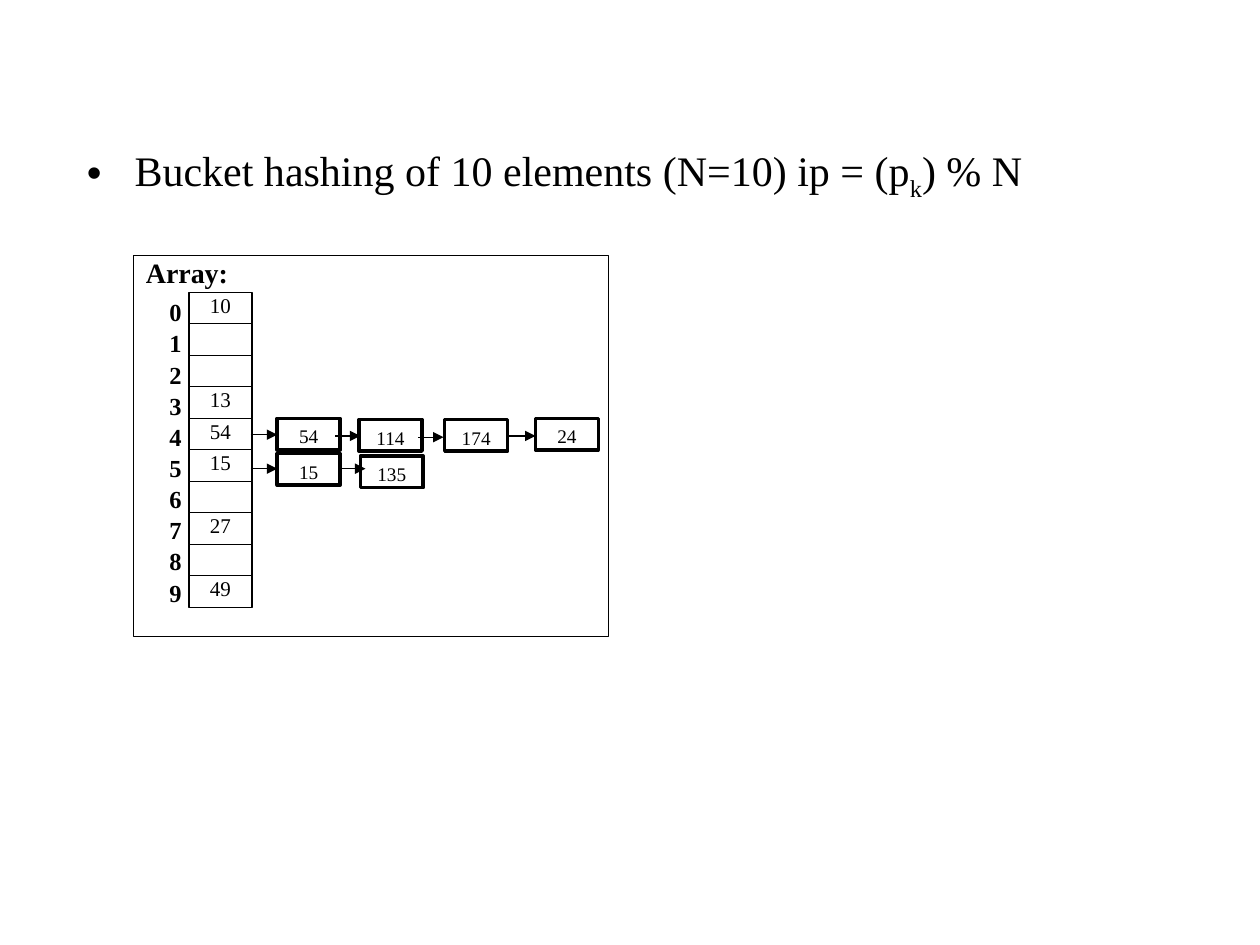
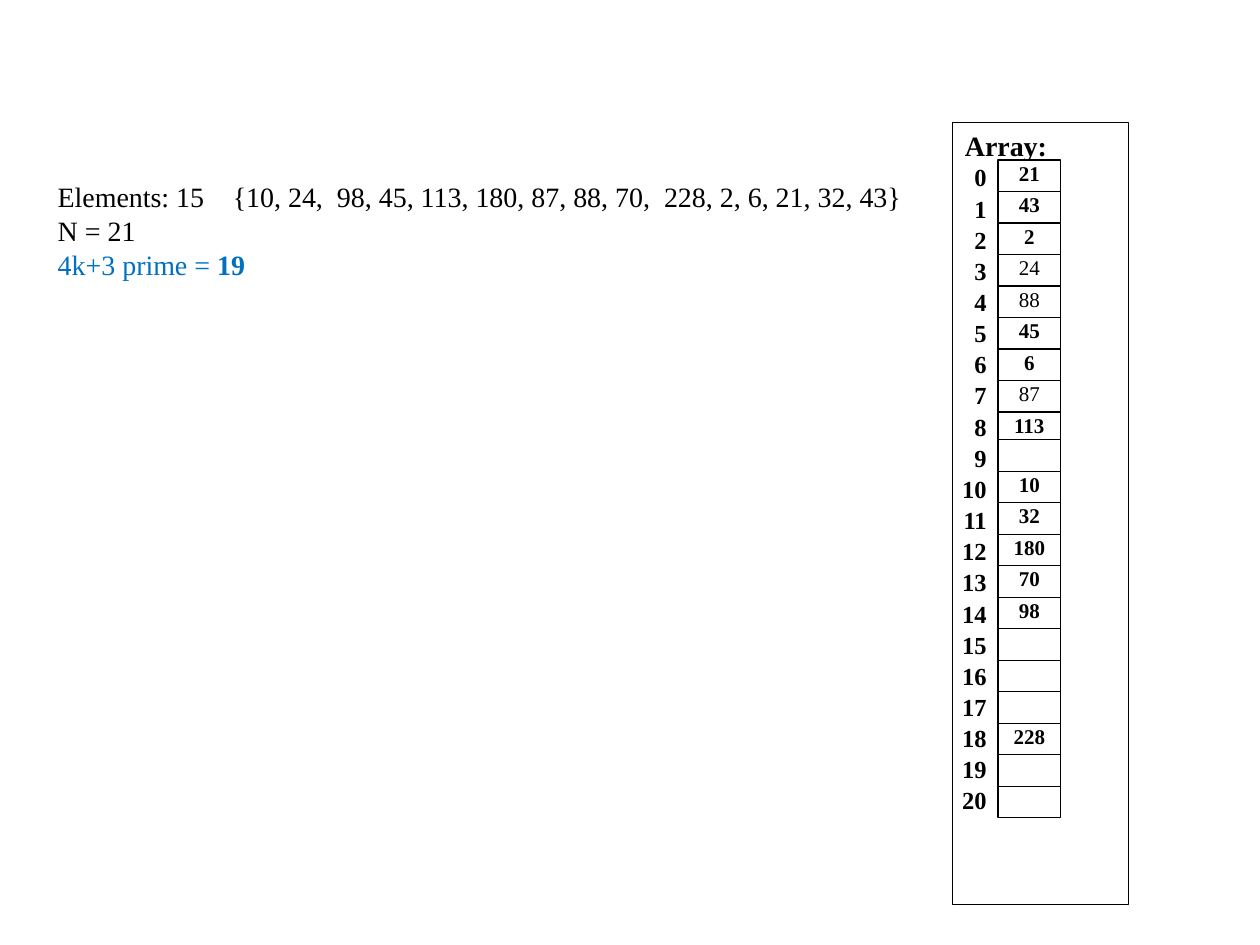
"""Build two slides that show hash tables: bucket chaining and a 4k+3 prime."""
import pptx
import pptx.dml.color
import pptx.enum.shapes
import pptx.enum.text
import pptx.oxml
import pptx.oxml.ns
import pptx.util

Inches = pptx.util.Inches
Pt = pptx.util.Pt
ALIGN = pptx.enum.text.PP_ALIGN
COLORS = {"ink": "000000", "paper": "FFFFFF", "accent": "0070C0"}
FONT = "Times New Roman"
CELL_WIDTH = 0.5
CELL_HEIGHT = 0.25


def write(shape, lines, size, bold=False, align=ALIGN.LEFT, insets=(0.1, 0.05, 0.1, 0.05), after=0):
    """Fill a shape with lines, each a list of (text, format) spans."""
    frame = shape.text_frame
    sides = ("margin_left", "margin_top", "margin_right", "margin_bottom")
    layout = {side: Inches(inset) for side, inset in zip(sides, insets)}
    layout |= {"word_wrap": True, "vertical_anchor": pptx.enum.text.MSO_ANCHOR.TOP}
    for name, value in layout.items():
        setattr(frame, name, value)
    for number, line in enumerate(lines):
        para = frame.paragraphs[0] if number == 0 else frame.add_paragraph()
        para.alignment = align
        para.space_after = Pt(after)
        for text, style in line:
            span = para.add_run()
            span.text = text
            values = {"name": FONT, "size": Pt(size), "bold": bold} | style
            color = values.pop("color", "ink")
            for name, value in values.items():
                setattr(span.font, name, value)
            span.font.color.rgb = pptx.dml.color.RGBColor.from_string(COLORS[color])
    return frame.paragraphs


def add_box(page, left, top, width, height, line_width=0.75):
    """Add a white rectangle with a black outline."""
    box = page.shapes.add_shape(
        pptx.enum.shapes.MSO_SHAPE.RECTANGLE,
        Inches(left), Inches(top), Inches(width), Inches(height))
    box.shadow.inherit = False
    box.fill.solid()
    box.fill.fore_color.rgb = pptx.dml.color.RGBColor.from_string(COLORS["paper"])
    box.line.color.rgb = pptx.dml.color.RGBColor.from_string(COLORS["ink"])
    box.line.width = Pt(line_width)
    return box


deck = pptx.Presentation()
deck.slide_width = Inches(10)
deck.slide_height = Inches(7.5)
bucket_page, prime_page = [deck.slides.add_slide(deck.slide_layouts[6]) for _ in range(2)]

heading = bucket_page.shapes.add_textbox(Inches(0.59), Inches(1.1), Inches(9.02), Inches(1.45))
bullet = write(heading, [[
    ("Bucket hashing of 10 elements (N=10) ip = (p", {}), ("k", {}), (") % N", {})]], 24)[0]
bullet.runs[1].font._element.set("baseline", "-25000")
bullet_format = bullet._p.get_or_add_pPr()
bullet_format.set("marL", str(Inches(0.38)))
bullet_format.set("indent", str(Inches(-0.38)))
for tag in ('buFont {} typeface="Arial"', 'buChar {} char="\u2022"'):
    bullet_format.append(pptx.oxml.parse_xml(f'<a:{tag.format(pptx.oxml.ns.nsdecls("a"))}/>'))

summary = prime_page.shapes.add_textbox(Inches(0.36), Inches(1.38), Inches(9.3), Inches(3.87))
elements = write(summary, [
    [("Elements: 15\t{10, 24,  98, 45, 113, 180, 87, 88, 70,  228, 2, 6, 21, 32, 43}", {})],
    [("N = 21", {})],
    [("4k+3 prime = ", {"color": "accent"}), ("19", {"color": "accent", "bold": True})],
], 16)[0]
elements._p.get_or_add_pPr().append(pptx.oxml.parse_xml(
    f'<a:tabLst {pptx.oxml.ns.nsdecls("a")}><a:tab pos="{Inches(1.39)}" algn="l"/></a:tabLst>'))

arrays = [
    {"page": bucket_page, "panel": (1.06, 2.03, 3.77, 3.02), "inset": 0,
     "cells": (1.5, 2.32), "labels": (1.24, 2.31, 0.3, 2.58),
     "values": [10, "", "", 13, 54, 15, "", 27, "", 49],
     "bold": False, "plain": (), "shift": 0},
    {"page": prime_page, "panel": (7.56, 0.97, 1.4, 6.21), "inset": 0.05,
     "cells": (7.92, 1.27), "labels": (7.53, 1.24, 0.4, 5.33),
     "values": [21, 43, 2, 24, 88, 45, 6, 87, 113, "", 10, 32, 180, 70, 98,
                "", "", "", 228, "", ""],
     "bold": True, "plain": (24, 88, 87), "shift": -0.03},
]
for array in arrays:
    page = array["page"]
    inset = array["inset"]
    panel = add_box(page, *array["panel"])
    write(panel, [[("Array:", {})]], 16, True, insets=(0.1, inset, 0.1, inset))
    left, top = array["cells"]
    for row, value in enumerate(array["values"]):
        shift = array["shift"] if row > 8 else 0
        cell = add_box(page, left, top + row * CELL_HEIGHT + shift, CELL_WIDTH, CELL_HEIGHT)
        if value != "":
            bold = array["bold"] and value not in array["plain"]
            write(cell, [[(str(value), {})]], 12, bold, ALIGN.CENTER, (0, 0, 0, 0))
    labels = page.shapes.add_textbox(*[Inches(length) for length in array["labels"]])
    write(labels, [[(str(row), {})] for row in range(len(array["values"]))], 14, True,
          ALIGN.RIGHT, (0, 0.05, 0.1, 0.05), 1)

nodes = [(54, 2.2, 3.32), (114, 2.85, 3.33), (174, 3.53, 3.33), (24, 4.25, 3.32),
         (15, 2.2, 3.6), (135, 2.86, 3.62)]
for value, left, top in nodes:
    node = add_box(bucket_page, left, top, CELL_WIDTH, CELL_HEIGHT, 2)
    write(node, [[(str(value), {})]], 11, align=ALIGN.CENTER)

links = [(1.99, 2.2, 3.45), (2.66, 2.86, 3.46), (3.32, 3.52, 3.47), (4.04, 4.25, 3.46),
         (1.99, 2.2, 3.72), (2.7, 2.9, 3.72)]
for start, end, height in links:
    link = bucket_page.shapes.add_connector(
        pptx.enum.shapes.MSO_CONNECTOR.STRAIGHT,
        Inches(start), Inches(height), Inches(end), Inches(height))
    link.line.color.rgb = pptx.dml.color.RGBColor.from_string(COLORS["ink"])
    link.line.width = Pt(0.75)
    link.line._get_or_add_ln().append(pptx.oxml.parse_xml(
        f'<a:tailEnd {pptx.oxml.ns.nsdecls("a")} type="triangle"/>'))
    link._element.spPr.append(pptx.oxml.parse_xml(
        f'<a:effectLst {pptx.oxml.ns.nsdecls("a")}/>'))

deck.save("out.pptx")
